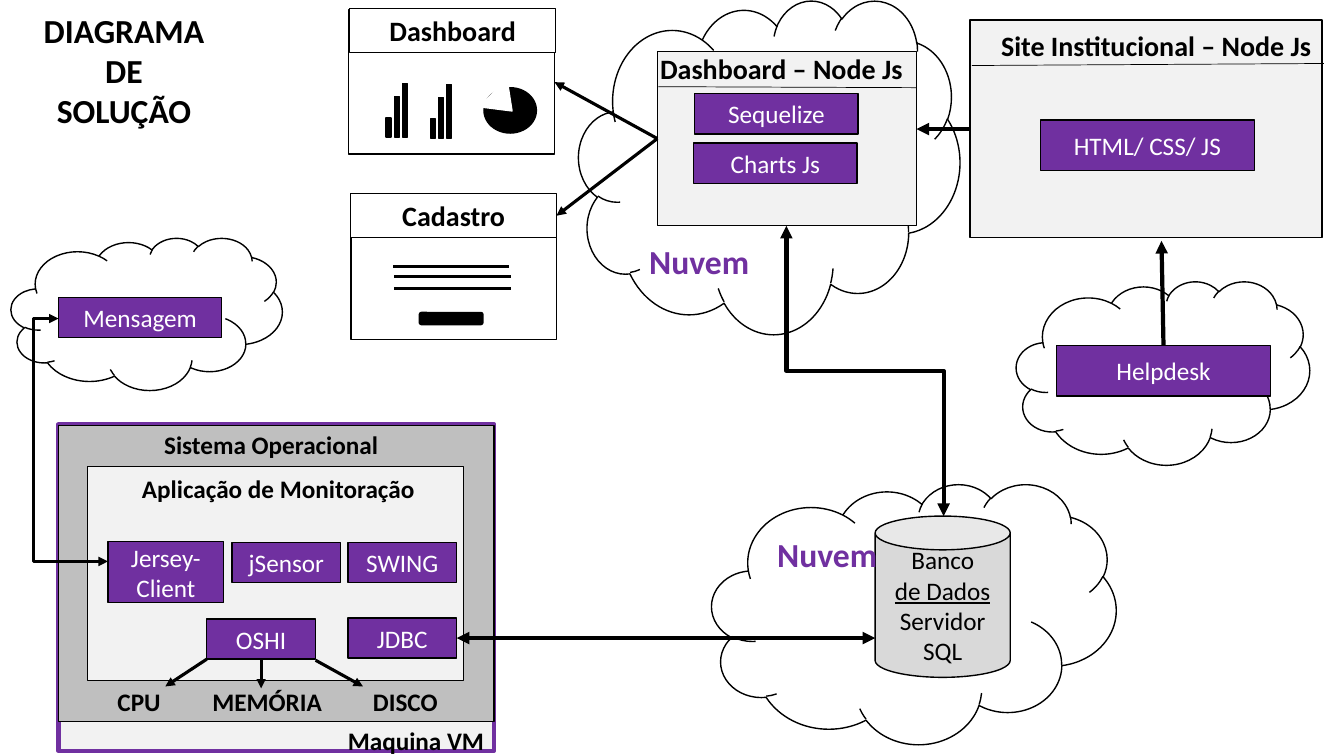
from lxml.etree import SubElement
from pptx import Presentation
from pptx.dml.color import RGBColor
from pptx.enum.shapes import MSO_CONNECTOR as Link, MSO_SHAPE as Shape
from pptx.enum.text import MSO_ANCHOR as Anchor, PP_ALIGN as Align
from pptx.oxml.ns import qn
from pptx.util import Pt

PX = 9144  # EMU per px, 100 px to the inch
BLACK = RGBColor(0, 0, 0)
WHITE = RGBColor(255, 255, 255)
PURPLE = RGBColor(0x70, 0x30, 0xA0)
PALE = RGBColor(0xF2, 0xF2, 0xF2)
SILVER = RGBColor(0xD9, 0xD9, 0xD9)
GREY = RGBColor(0xBF, 0xBF, 0xBF)

CLOUDS = [
    (1008, 279, 291, 182),
    (574, 0, 378, 331),
    (706, 480, 401, 258),
    (11, 236, 269, 151),
]
# name: (place, fill, line colour, line width)
FRAMES = {
    "vm": ((58, 421, 432, 324), PALE, PURPLE, 3),
    "system": ((58, 422, 432, 294), GREY, BLACK, 1),
    "application": ((87, 463, 373, 212), PALE, BLACK, 1),
    "site": ((962, 20, 349, 216), PALE, BLACK, 1),
    "server": ((652, 51, 257, 173), PALE, BLACK, 1),
    "dashboard": ((346, 10, 204, 143), WHITE, BLACK, 1),
    "form": ((348, 194, 204, 143), WHITE, BLACK, 1),
}
SCREEN_TITLES = {
    "Dashboard": (347, 8, 204, 44),
    "Cadastro": (348, 192, 204, 44),
}
MODULES = {
    "JDBC": (345, 613, 108, 40),
    "OSHI": (205, 614, 108, 40),
    "SWING": (345, 538, 108, 40),
    "jSensor": (230, 538, 108, 40),
    "Jersey-Client": (107, 537, 115, 61),
    "Mensagem": (58, 295, 162, 40),
    "HTML/ CSS/ JS": (1032, 119, 212, 50),
    "Sequelize": (689, 93, 162, 40),
    "Charts Js": (688, 142, 162, 40),
    "Helpdesk": (1048, 343, 212, 50),
}
DATABASE = ["Banco", "de Dados", "Servidor SQL"]
DATABASE_PLACE = (868, 512, 134, 160)
# lines of text, place, size, colour, alignment
LABELS = [
    (["DIAGRAMA", "DE", "SOLUÇÃO"], (0, 4, 246, 131), 24, BLACK, Align.CENTER),
    (["Aplicação de Monitoração"], (131, 465, 373, 40), 18, BLACK, Align.LEFT),
    (["Sistema Operacional"], (153, 421, 337, 40), 18, BLACK, Align.LEFT),
    (["CPU"], (73, 676, 130, 40), 18, BLACK, Align.CENTER),
    (["MEMÓRIA"], (200, 676, 130, 40), 18, BLACK, Align.CENTER),
    (["DISCO"], (337, 676, 130, 40), 18, BLACK, Align.CENTER),
    (["Maquina VM"], (308, 715, 182, 40), 18, BLACK, Align.RIGHT),
    (["Site Institucional – Node Js"], (983, 23, 349, 44), 20, BLACK, Align.LEFT),
    (["Dashboard – Node Js"], (641, 46, 268, 44), 20, BLACK, Align.CENTER),
    (["Nuvem"], (634, 234, 125, 50), 24, PURPLE, Align.LEFT),
    (["Nuvem"], (761, 525, 125, 50), 24, PURPLE, Align.LEFT),
]
BAR_GROUPS = [(383, 136), (427, 137)]  # left, bottom
BAR_HEIGHTS = [19, 40, 53]
# from, to, width
RULES = [
    ((964, 65), (1313, 63), 0.5),
    ((653, 86), (909, 87), 0.5),
    ((390, 264), (505, 264), 2.25),
    ((391, 274), (507, 274), 2.25),
    ((391, 286), (507, 286), 2.25),
]
TOP, LEFT, BOTTOM, RIGHT = range(4)
# from, to, width, heads; an end is a point or a (name, side) pair
ARROWS = [
    ((205, 654), (164, 681), 2.25, ["tail"]),
    (("OSHI", BOTTOM), (259, 683), 2.25, ["tail"]),
    ((313, 655), (360, 681), 2.25, ["tail"]),
    (("server", LEFT), ("dashboard", RIGHT), 2.25, ["tail"]),
    (("server", LEFT), ("Cadastro", RIGHT), 2.25, ["tail"]),
    (("site", LEFT), (909, 128), 3, ["tail"]),
    (("Helpdesk", TOP), (1152, 239), 3, ["tail"]),
    (("JDBC", RIGHT), (868, 633), 3, ["head", "tail"]),
]
CHAT_ROUTE = ((58, 316), (107, 557))
DATA_ROUTE = ((780, 224), (936, 512))

prs = Presentation()
prs.slide_width, prs.slide_height = 1333 * PX, 750 * PX
slide = prs.slides.add_slide(prs.slide_layouts[6])
joints = {}


def emu(lengths):
    return [round(length * PX) for length in lengths]


def write(part, lines, size, color, align=Align.CENTER, bold=False):
    frame = part.text_frame
    frame.word_wrap, frame.vertical_anchor = True, Anchor.MIDDLE
    frame.text = "\n".join(lines)
    for paragraph in frame.paragraphs:
        paragraph.alignment = align
        font = paragraph.runs[0].font
        style = {"name": "Calibri", "size": Pt(size), "bold": bold}
        for key, value in style.items():
            setattr(font, key, value)
        font.color.rgb = color


def draw(preset, place, fill, line=BLACK, width=1):
    part = slide.shapes.add_shape(preset, *emu(place))
    part.shadow.inherit = False
    part.fill.solid()
    part.fill.fore_color.rgb = fill
    part.line.color.rgb = line
    part.line.width = Pt(width)
    return part


def link(start, end, width, heads=(), kind=Link.STRAIGHT):
    """Draw a line; ends given as (name, side) are joined to that part."""
    joined = [isinstance(tip[0], str) for tip in (start, end)]
    points = [(0, 0) if named else tip for named, tip in zip(joined, (start, end))]
    line = slide.shapes.add_connector(kind, *emu(points[0] + points[1]))
    if joined[0]:
        line.begin_connect(joints[start[0]], start[1])
    if joined[1]:
        line.end_connect(joints[end[0]], end[1])
    line.line.color.rgb = BLACK
    line.line.width = Pt(width)
    for head in heads:
        SubElement(line.line._get_or_add_ln(), qn(f"a:{head}End"), type="triangle")
    SubElement(line._element.spPr, qn("a:effectLst"))
    return line


for place in CLOUDS:
    draw(Shape.CLOUD, place, WHITE)
for name, (place, *look) in FRAMES.items():
    joints[name] = draw(Shape.RECTANGLE, place, *look)
for title, place in SCREEN_TITLES.items():
    joints[title] = draw(Shape.RECTANGLE, place, WHITE, width=0.75)
    write(joints[title], [title], 20, BLACK, bold=True)
for module, place in MODULES.items():
    joints[module] = draw(Shape.RECTANGLE, place, PURPLE)
    write(joints[module], [module], 18, WHITE)

database = draw(Shape.CAN, DATABASE_PLACE, SILVER)
write(database, DATABASE, 18, BLACK)
database.text_frame.paragraphs[1].runs[0].font.underline = True

for lines, place, size, color, align in LABELS:
    write(slide.shapes.add_textbox(*emu(place)), lines, size, color, align, True)

for left, bottom in BAR_GROUPS:
    for i, height in enumerate(BAR_HEIGHTS):
        draw(Shape.RECTANGLE, (left + 8 * i, bottom - height, 5, height), BLACK)
draw(Shape.OVAL, (480, 87, 52, 45), BLACK)
pie_gap = draw(Shape.ISOSCELES_TRIANGLE, (479, 88, 39, 26), WHITE, WHITE)
pie_gap.rotation = 134.2
draw(Shape.ROUNDED_RECTANGLE, (416, 310, 63, 12), BLACK)

for rule in RULES:
    link(*rule)
for arrow in ARROWS:
    link(*arrow)

chat = link(*CHAT_ROUTE, 2.25, ["head", "tail"], Link.ELBOW)
bends = chat._element.spPr.prstGeom.get_or_add_avLst()
SubElement(bends, qn("a:gd"), name="adj1", fmla="val -51000")

# A quarter turn makes the elbow leave vertically
(x1, y1), (x2, y2) = DATA_ROUTE
across, down = x2 - x1, y2 - y1
left, top = (x1 + x2 - down) / 2, (y1 + y2 - across) / 2
data = link((left, top), (left + down, top + across), 3, ["head", "tail"], Link.ELBOW)
turn = data._element.spPr.find(qn("a:xfrm"))
for key, value in {"rot": "16200000", "flipH": "1"}.items():
    turn.set(key, value)

prs.save("out.pptx")
